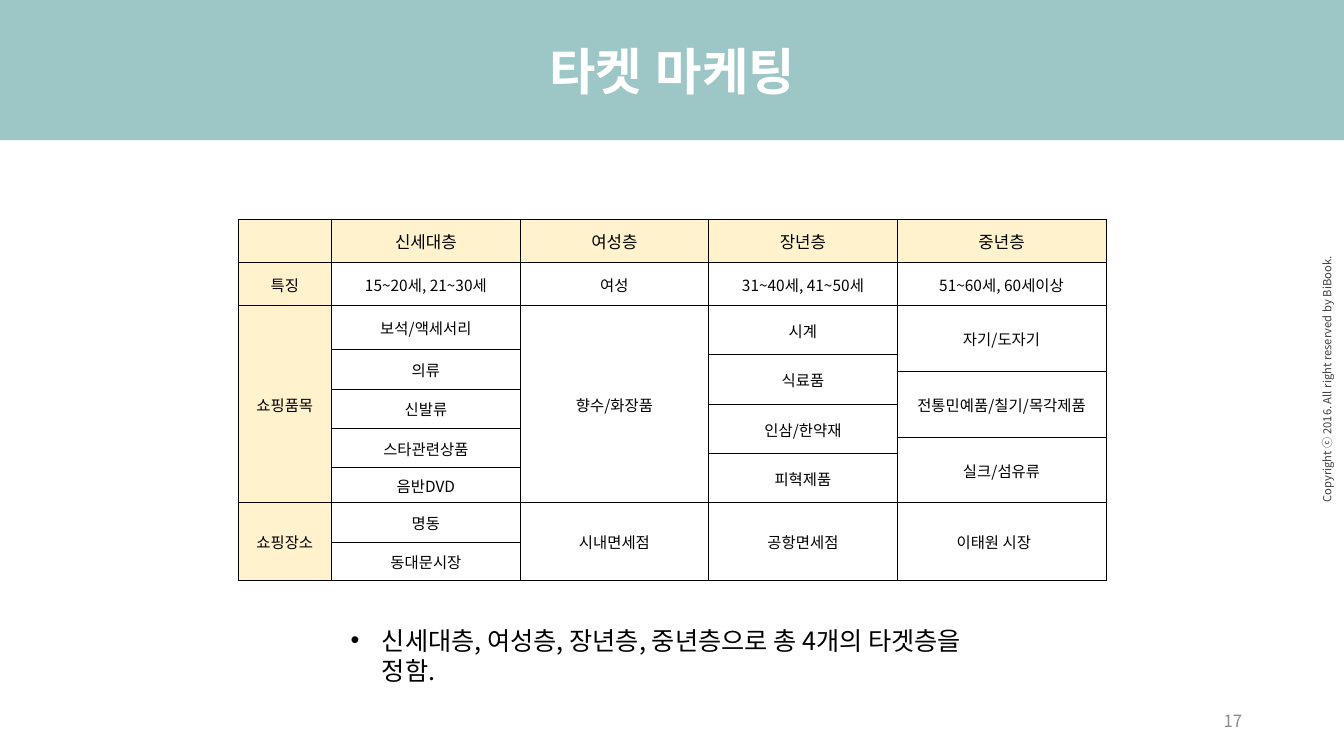
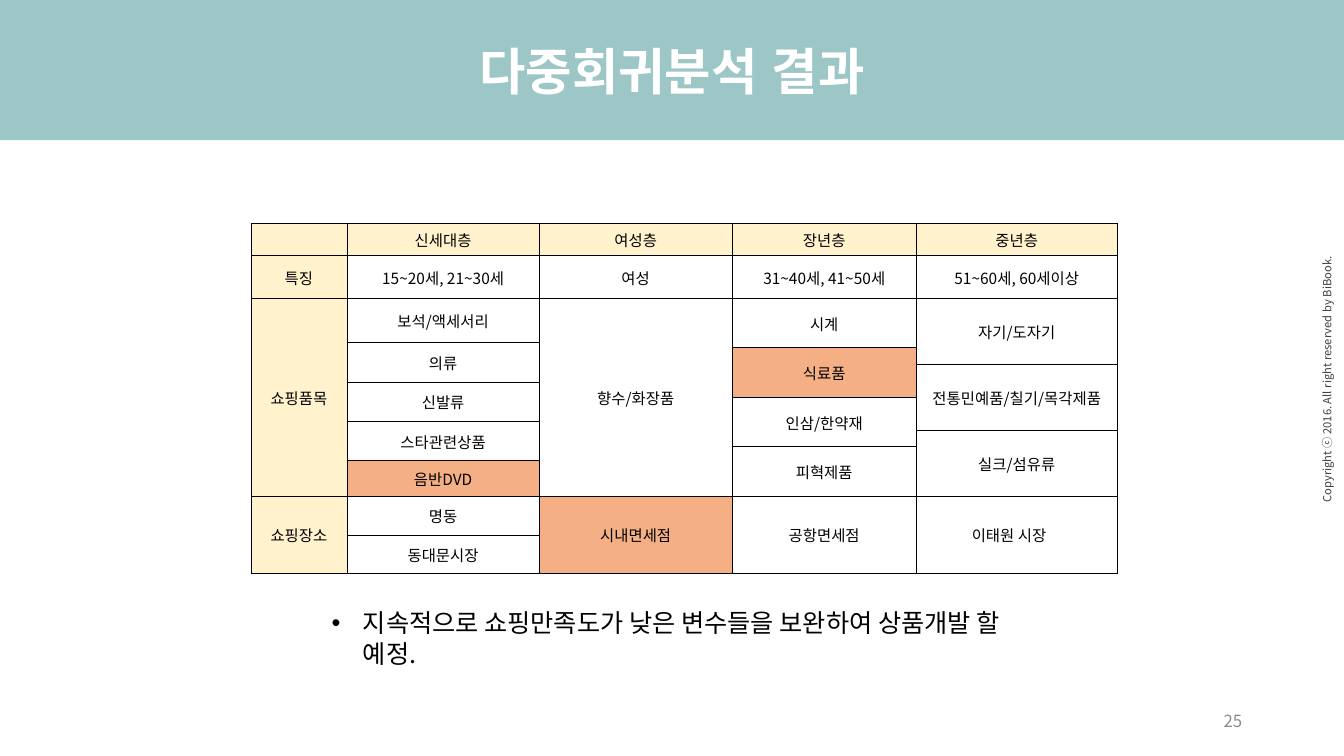
from dataclasses import dataclass

from lxml.etree import SubElement
from pptx import Presentation
from pptx.dml.color import RGBColor
from pptx.enum.shapes import MSO_SHAPE as Shape
from pptx.enum.text import MSO_ANCHOR as Anchor, PP_ALIGN as Align
from pptx.oxml.ns import qn
from pptx.util import Inches, Pt

# Shared look
FONT = "Noto Sans CJK KR"
TEAL, CREAM, PEACH = "9DC6C7", "FFF2CC", "F4B084"
WHITE, BLACK, DARK, GRAY = "FFFFFF", "000000", "404040", "8C8C8C"

# Each column is a stack of (text, rows spanned)
STACKS = [
    [("", 1), ("특징", 1), ("쇼핑품목", 10), ("쇼핑장소", 2)],
    [("신세대층", 1), ("15~20세, 21~30세", 1), ("보석/액세서리", 1), ("의류", 3),
     ("신발류", 2), ("스타관련상품", 3), ("음반DVD", 1), ("명동", 1), ("동대문시장", 1)],
    [("여성층", 1), ("여성", 1), ("향수/화장품", 10), ("시내면세점", 2)],
    [("장년층", 1), ("31~40세, 41~50세", 1), ("시계", 2), ("식료품", 3),
     ("인삼/한약재", 3), ("피혁제품", 2), ("공항면세점", 2)],
    [("중년층", 1), ("51~60세, 60세이상", 1), ("자기/도자기", 3),
     ("전통민예품/칠기/목각제품", 4), ("실크/섬유류", 3), ("이태원 시장　", 2)],
]
ROWS = [0.43, 0.44, 0.05, 0.16, 0.18, 0.15, 0.24, 0.09, 0.16, 0.14, 0.35, 0.39, 0.38]


@dataclass
class Grid:
    left: float
    top: float
    cols: list[float]
    head: float
    size: int
    hot: tuple[str, ...] = ()


@dataclass
class Page:
    title: str
    num: int
    grid: Grid
    note: str
    box: tuple[float, float, float, float]


PAGES = [
    Page("타켓 마케팅", 17,
         Grid(2.36, 2.18, [0.93, 1.87, 1.87, 1.87, 2.07], 0.42, 12),
         "신세대층, 여성층, 장년층, 중년층으로 총 4개의 타겟층을 정함.",
         (3.38, 6.15, 6.57, 0.4)),
    Page("다중회귀분석 결과", 25,
         Grid(2.49, 2.22, [0.95, 1.91, 1.91, 1.83, 1.99], 0.31, 11,
              ("식료품", "음반DVD", "시내면세점")),
         "지속적으로 쇼핑만족도가 낮은 변수들을 보완하여 상품개발 할 예정.",
         (3.19, 5.98, 7.12, 0.4)),
]


def rgb(code: str) -> RGBColor:
    return RGBColor.from_string(code)


def write(frame, text: str, *, size: float, color: str = BLACK, font: str = FONT,
          bold: bool = False, align=Align.LEFT, bullet: bool = False):
    """Put one formatted paragraph in a text frame and return its run."""
    para = frame.paragraphs[0]
    if bullet:
        props = para._p.get_or_add_pPr()
        props.set("marL", str(Inches(0.31)))
        props.set("indent", str(-Inches(0.31)))
        SubElement(props, qn("a:buFont")).set("typeface", "Arial")
        SubElement(props, qn("a:buChar")).set("char", "•")
    para.alignment = align
    run = para.add_run()
    run.text = text
    run.font.size, run.font.bold, run.font.name = Pt(size), bold, font
    run.font.color.rgb = rgb(color)
    SubElement(run._r.get_or_add_rPr(), qn("a:ea")).set("typeface", font)
    return run


def add_text(slide, box: tuple[float, ...], text: str, *, wrap: bool = True,
             anchor=Anchor.TOP, turn: int = 0, **style):
    shape = slide.shapes.add_textbox(*map(Inches, box))
    shape.rotation = turn
    frame = shape.text_frame
    frame.word_wrap, frame.vertical_anchor = wrap, anchor
    return write(frame, text, **style)


def line(parent, tag: str, color: str, width: float):
    """Add a solid line and return its colour element."""
    edge = SubElement(parent, qn(tag))
    edge.set("w", str(Pt(width)))
    tint = SubElement(SubElement(edge, qn("a:solidFill")), qn("a:srgbClr"))
    tint.set("val", color)
    return tint


def add_frame(slide, page: Page) -> None:
    # Title band
    band = slide.shapes.add_shape(Shape.RECTANGLE, 0, 0, Inches(13.33), Inches(1.39))
    band.shadow.inherit = False
    band.fill.solid()
    band.fill.fore_color.rgb = rgb(TEAL)
    band.line.fill.background()
    band.text_frame.vertical_anchor = Anchor.MIDDLE
    write(band.text_frame, page.title, size=36, color=WHITE, font="Arial",
          bold=True, align=Align.CENTER)

    # Copyright up the right edge, page number below
    run = add_text(slide, (11.83, 3.63, 2.67, 0.24),
                   "Copyright ⓒ 2016. All right reserved by BiBook.",
                   wrap=False, turn=270, size=8, color=DARK)
    props = run._r.get_or_add_rPr()
    tint = line(props, "a:ln", DARK, 0.75)
    SubElement(tint, qn("a:alpha")).set("val", "20000")
    props.insert(0, props[-1])
    add_text(slide, (9.42, 6.95, 3, 0.4), str(page.num), anchor=Anchor.MIDDLE,
             size=12, color=GRAY, align=Align.RIGHT)


def dress(cell, fill: str) -> None:
    """Set the margins, borders and fill of a cell."""
    cell.margin_left = cell.margin_right = cell.margin_top = Inches(0.01)
    cell.margin_bottom = 0
    cell.vertical_anchor = Anchor.MIDDLE
    for side in "LRTB":
        line(cell._tc.get_or_add_tcPr(), f"a:ln{side}", BLACK, 0.5)
    cell.fill.solid()
    cell.fill.fore_color.rgb = rgb(fill)


def add_grid(slide, grid: Grid) -> None:
    rows = [grid.head, *ROWS]
    table = slide.shapes.add_table(
        len(rows), len(grid.cols), Inches(grid.left), Inches(grid.top),
        Inches(sum(grid.cols)), Inches(sum(rows))).table
    table.first_row = table.horz_banding = False
    for col, width in zip(table.columns, grid.cols):
        col.width = Inches(width)
    for row, height in zip(table.rows, rows):
        row.height = Inches(height)

    for c, stack in enumerate(STACKS):
        top = 0
        for text, span in stack:
            fill = CREAM if top == 0 or c == 0 else PEACH if text in grid.hot else WHITE
            for r in range(top, top + span):
                dress(table.cell(r, c), fill)
            cell = table.cell(top, c)
            if span > 1:
                cell.merge(table.cell(top + span - 1, c))
            write(cell.text_frame, text, size=grid.size if top == 0 else 11,
                  align=Align.CENTER)
            top += span


def main() -> None:
    deck = Presentation()
    deck.slide_width, deck.slide_height = Inches(13.33), Inches(7.5)
    for page in PAGES:
        slide = deck.slides.add_slide(deck.slide_layouts[6])
        add_frame(slide, page)
        add_grid(slide, page.grid)
        add_text(slide, page.box, page.note, size=18, bullet=True)
    deck.save("out.pptx")


if __name__ == "__main__":
    main()
